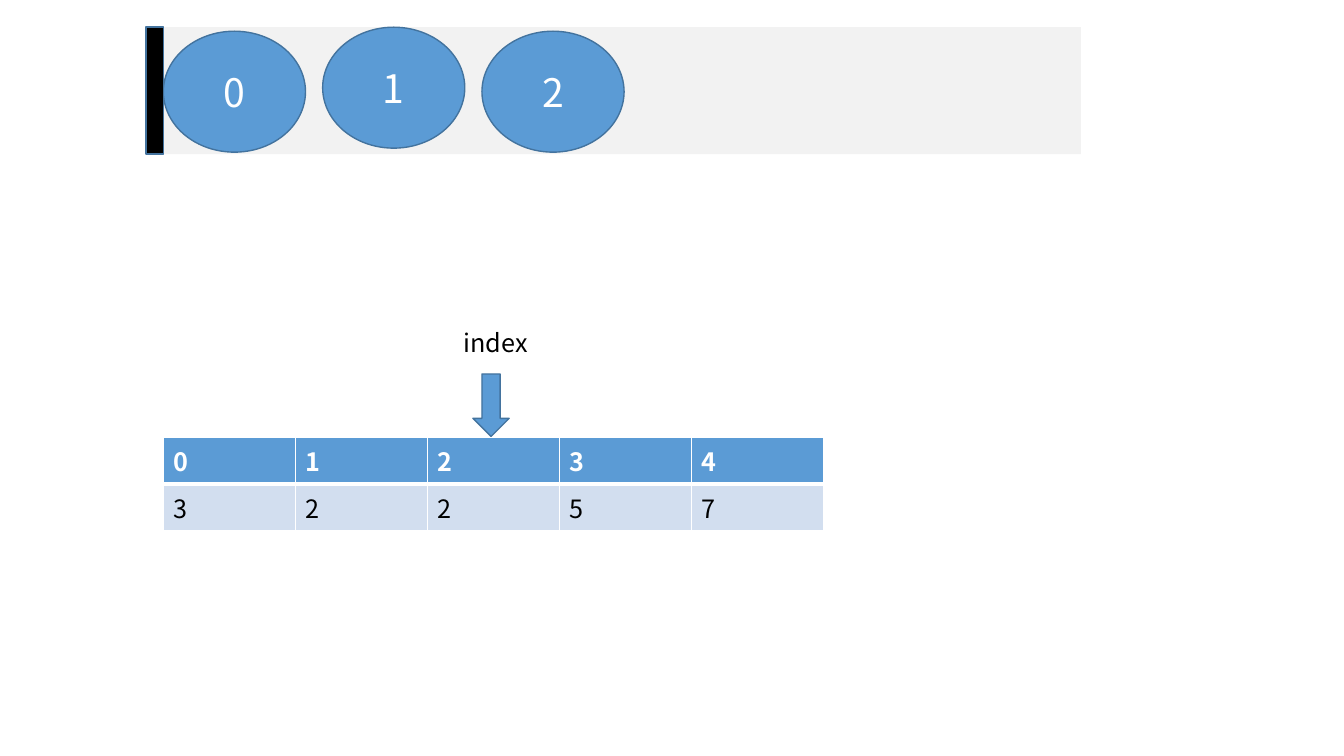
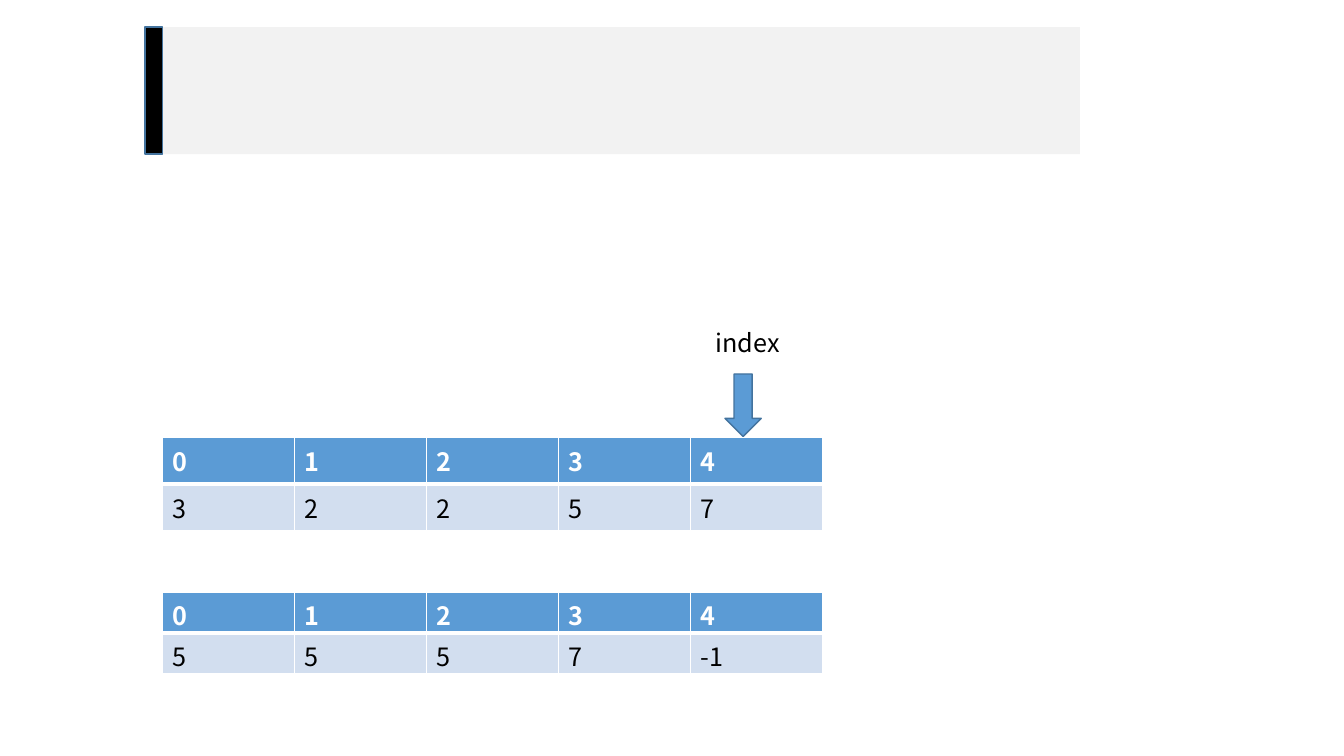
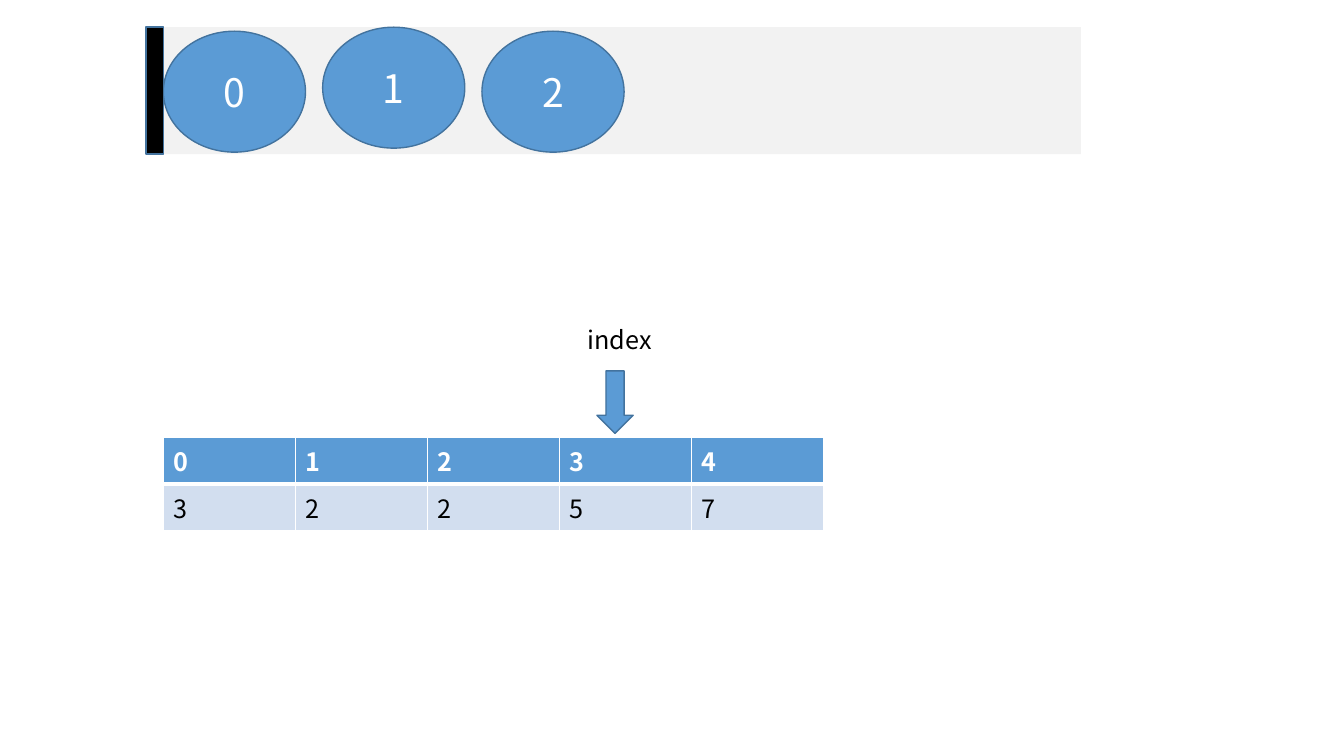
from dataclasses import dataclass

from lxml.etree import SubElement
from pptx import Presentation
from pptx.dml.color import RGBColor
from pptx.enum.shapes import MSO_SHAPE
from pptx.enum.text import MSO_ANCHOR, MSO_AUTO_SIZE, PP_ALIGN
from pptx.oxml.ns import qn
from pptx.util import Emu, Pt

EMU_PER_PX = 9144


@dataclass(frozen=True)
class Theme:
    font: str = "Noto Sans CJK KR"
    white: str = "FFFFFF"
    black: str = "000000"
    accent: str = "5B9BD5"
    outline: str = "43739E"
    lane: str = "F2F2F2"
    value_fill: str = "D2DEEF"
    body_pt: int = 18
    ball_pt: int = 28
    thin_pt: int = 1
    thick_pt: int = 3


@dataclass(frozen=True)
class Box:
    x: int
    y: int
    w: int
    h: int


@dataclass(frozen=True)
class ArrayTable:
    values: tuple[str, ...]
    y: int = 434
    row_h: int = 46
    margin_top: int = 5
    margin_bottom: int = 5


@dataclass(frozen=True)
class Step:
    left: int
    balls: int
    arrow_x: int
    arrow_y: int
    tables: tuple[ArrayTable, ...]


THEME = Theme()
COL_W = 131
BAR_W = 17
BALL_PITCH = 158
BALL_TOPS = (31, 27, 31)
COUNTS = ArrayTable(("3", "2", "2", "5", "7"))
RESULT = ArrayTable(("5", "5", "5", "7", "-1"), y=588, row_h=40, margin_top=4, margin_bottom=0)
STEPS = (
    Step(145, 3, 456, 384, (COUNTS,)),
    Step(144, 0, 706, 384, (COUNTS, RESULT)),
    Step(145, 3, 579, 381, (COUNTS,)),
)


def px(n: int) -> Emu:
    return Emu(n * EMU_PER_PX)


def rgb(color: str) -> RGBColor:
    return RGBColor.from_string(color)


def frame(box: Box) -> tuple[Emu, Emu, Emu, Emu]:
    return px(box.x), px(box.y), px(box.w), px(box.h)


def write(tf, text: str, size: int, color: str, bold: bool = False) -> None:
    p = tf.paragraphs[0]
    p.text = text
    p.font.name = THEME.font
    p.font.size = Pt(size)
    p.font.bold = bold
    p.font.color.rgb = rgb(color)


def add_shape(s, kind: MSO_SHAPE, box: Box, fill: str, outlined: bool = True):
    sp = s.shapes.add_shape(kind, *frame(box))
    sp.shadow.inherit = False
    sp.fill.solid()
    sp.fill.fore_color.rgb = rgb(fill)
    if outlined:
        sp.line.color.rgb = rgb(THEME.outline)
        sp.line.width = Pt(THEME.thin_pt)
    else:
        sp.line.fill.background()
    return sp


def set_borders(cell, thick_side: str) -> None:
    tc_pr = cell._tc.get_or_add_tcPr()
    for i, side in enumerate(("lnL", "lnR", "lnT", "lnB")):
        width = THEME.thick_pt if side == thick_side else THEME.thin_pt
        ln = SubElement(tc_pr, qn(f"a:{side}"), w=str(Pt(width)))
        SubElement(SubElement(ln, qn("a:solidFill")), qn("a:srgbClr"), val=THEME.white)
        tc_pr.insert(i, ln)


def add_array(s, x: int, spec: ArrayTable) -> None:
    n = len(spec.values)
    box = Box(x, spec.y, n * COL_W, 2 * spec.row_h)
    table = s.shapes.add_table(2, n, *frame(box)).table
    table.horz_banding = False
    for col in table.columns:
        col.width = px(COL_W)
    rows = (
        (tuple(map(str, range(n))), THEME.accent, THEME.white, True, "lnB"),
        (spec.values, THEME.value_fill, THEME.black, False, "lnT"),
    )
    for r, (texts, fill, color, bold, thick_side) in enumerate(rows):
        table.rows[r].height = px(spec.row_h)
        for c, text in enumerate(texts):
            cell = table.cell(r, c)
            cell.margin_top = px(spec.margin_top)
            cell.margin_bottom = px(spec.margin_bottom)
            cell.fill.solid()
            cell.fill.fore_color.rgb = rgb(fill)
            set_borders(cell, thick_side)
            write(cell.text_frame, text, THEME.body_pt, color, bold)


def add_lane(s, left: int, balls: int) -> None:
    add_shape(s, MSO_SHAPE.RECTANGLE, Box(left, 27, 927, 126), THEME.lane, outlined=False)
    for i, top in enumerate(BALL_TOPS[:balls]):
        box = Box(left + BAR_W + i * BALL_PITCH, top, 141, 120)
        ball = add_shape(s, MSO_SHAPE.OVAL, box, THEME.accent)
        tf = ball.text_frame
        tf.vertical_anchor = MSO_ANCHOR.MIDDLE
        write(tf, str(i), THEME.ball_pt, THEME.white)
        tf.paragraphs[0].alignment = PP_ALIGN.CENTER
    add_shape(s, MSO_SHAPE.RECTANGLE, Box(left, 27, BAR_W, 126), THEME.black)


def add_index(s, x: int, y: int) -> None:
    arrow = add_shape(s, MSO_SHAPE.RIGHT_ARROW, Box(x, y, 62, 36), THEME.accent)
    arrow.rotation = 90
    tf = s.shapes.add_textbox(*frame(Box(x - 6, y - 64, 92, 40))).text_frame
    tf.word_wrap = True
    tf.auto_size = MSO_AUTO_SIZE.SHAPE_TO_FIT_TEXT
    write(tf, "index", THEME.body_pt, THEME.black)


def main() -> None:
    prs = Presentation()
    prs.slide_width, prs.slide_height = px(1333), px(750)
    for step in STEPS:
        s = prs.slides.add_slide(prs.slide_layouts[6])
        for spec in step.tables:
            add_array(s, step.left + BAR_W, spec)
        add_lane(s, step.left, step.balls)
        add_index(s, step.arrow_x, step.arrow_y)
    prs.save("out.pptx")


if __name__ == "__main__":
    main()
